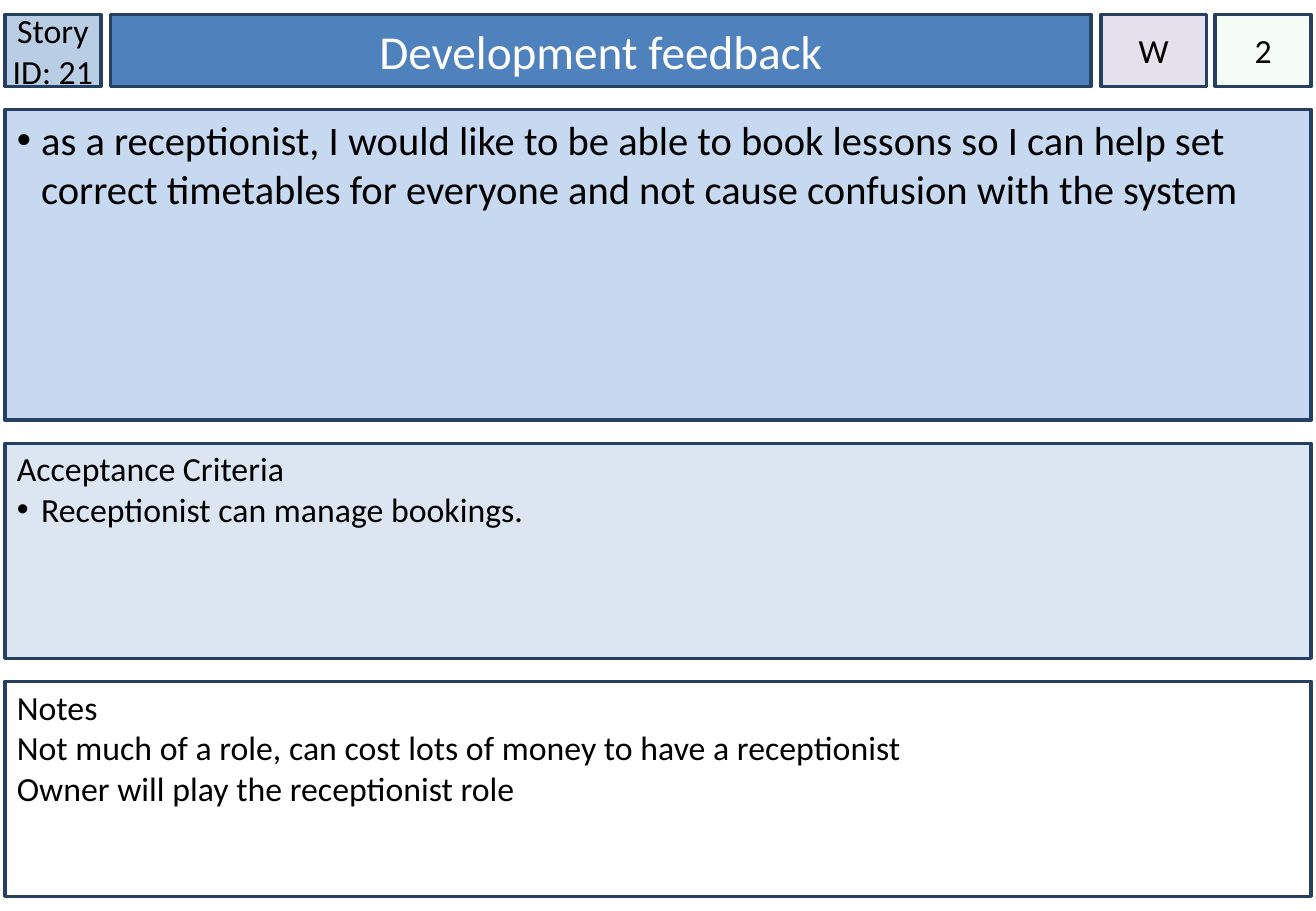
import pptx
import pptx.dml.color
import pptx.enum.shapes
import pptx.enum.text
import pptx.oxml
import pptx.oxml.ns
import pptx.util
from pptx.util import Inches

ALIGN = pptx.enum.text.PP_ALIGN
ANCHOR = pptx.enum.text.MSO_ANCHOR
BULLET = "• "
LEFT, WIDTH = 0.04, 10.75
HEADER_TOP, HEADER_HEIGHT = 0.12, 0.59


def color(hex_text):
    return pptx.dml.color.RGBColor.from_string(hex_text)


def add_child(parent, tag, **attributes):
    child = pptx.oxml.parse_xml(f"<a:{tag} {pptx.oxml.ns.nsdecls('a')}/>")
    for name, value in attributes.items():
        child.set(name, value)
    parent.append(child)


def write(para, text, size=20, font_color="000000", align=ALIGN.LEFT):
    """Fill a paragraph; text that starts with BULLET becomes a list item."""
    para.alignment = align
    if text.startswith(BULLET):
        text = text.removeprefix(BULLET)
        properties = para._p.get_or_add_pPr()
        properties.set("marL", str(Inches(0.2)))
        properties.set("indent", str(Inches(-0.2)))
        add_child(properties, "buFont", typeface="Arial")
        add_child(properties, "buChar", char=BULLET.strip())
    span = para.add_run()
    span.text = text
    span.font.name = "Calibri"
    span.font.size = pptx.util.Pt(size)
    span.font.color.rgb = color(font_color)


class StoryCard:
    line_color = "254061"
    line_width = 2

    def __init__(self, deck):
        self.page = deck.slides.add_slide(deck.slide_layouts[6])

    def box(self, left, top, width, height, fill, lines, anchor=ANCHOR.TOP,
            side=0.1, inset_top=0.05, wrap=True, alpha=None, **text_format):
        shape = self.page.shapes.add_shape(
            pptx.enum.shapes.MSO_SHAPE.RECTANGLE,
            Inches(left), Inches(top), Inches(width), Inches(height))
        shape.shadow.inherit = False
        shape.fill.solid()
        shape.fill.fore_color.rgb = color(fill)
        if alpha is not None:
            fill_color = shape._element.spPr.find(
                pptx.oxml.ns.qn("a:solidFill"))[0]
            add_child(fill_color, "alpha", val=str(alpha * 1000))
        shape.line.color.rgb = color(self.line_color)
        shape.line.width = pptx.util.Pt(self.line_width)

        frame = shape.text_frame
        frame.word_wrap = wrap
        frame.vertical_anchor = anchor
        frame.margin_left = frame.margin_right = Inches(side)
        frame.margin_top, frame.margin_bottom = Inches(inset_top), Inches(0.05)
        for index, line in enumerate(lines):
            para = frame.add_paragraph() if index else frame.paragraphs[0]
            write(para, line, **text_format)

    def header(self, left, width, fill, text, side=0, **options):
        self.box(left, HEADER_TOP, width, HEADER_HEIGHT, fill, [text],
                 anchor=ANCHOR.MIDDLE, side=side, align=ALIGN.CENTER, **options)

    def panel(self, top, height, fill, lines, **options):
        self.box(LEFT, top, WIDTH, height, fill, lines, **options)


def main():
    deck = pptx.Presentation()
    deck.slide_width, deck.slide_height = Inches(10.83), Inches(7.5)
    card = StoryCard(deck)

    card.header(LEFT, 0.79, "B9CDE5", "Story ID: 21")
    card.header(0.91, 8.07, "4F81BD", "Development feedback", side=0.1,
                size=28, font_color="FFFFFF")
    card.header(9.06, 0.87, "E6E0EC", "W", wrap=False)
    card.header(10, 0.79, "CCF0CD", "2", alpha=20)

    card.panel(0.9, 2.56, "C6D9F1", [
        BULLET + "as a receptionist, I would like to be able to book lessons "
        "so I can help set correct timetables for everyone and not cause "
        "confusion with the system"], size=24)
    card.panel(3.65, 1.77, "DCE6F2", [
        "Acceptance Criteria",
        BULLET + "Receptionist can manage bookings."], inset_top=0.04)
    card.panel(5.61, 1.77, "FFFFFF", [
        "Notes",
        "Not much of a role, can cost lots of money to have a receptionist",
        "Owner will play the receptionist role"], inset_top=0.04)

    deck.save("out.pptx")


if __name__ == "__main__":
    main()
